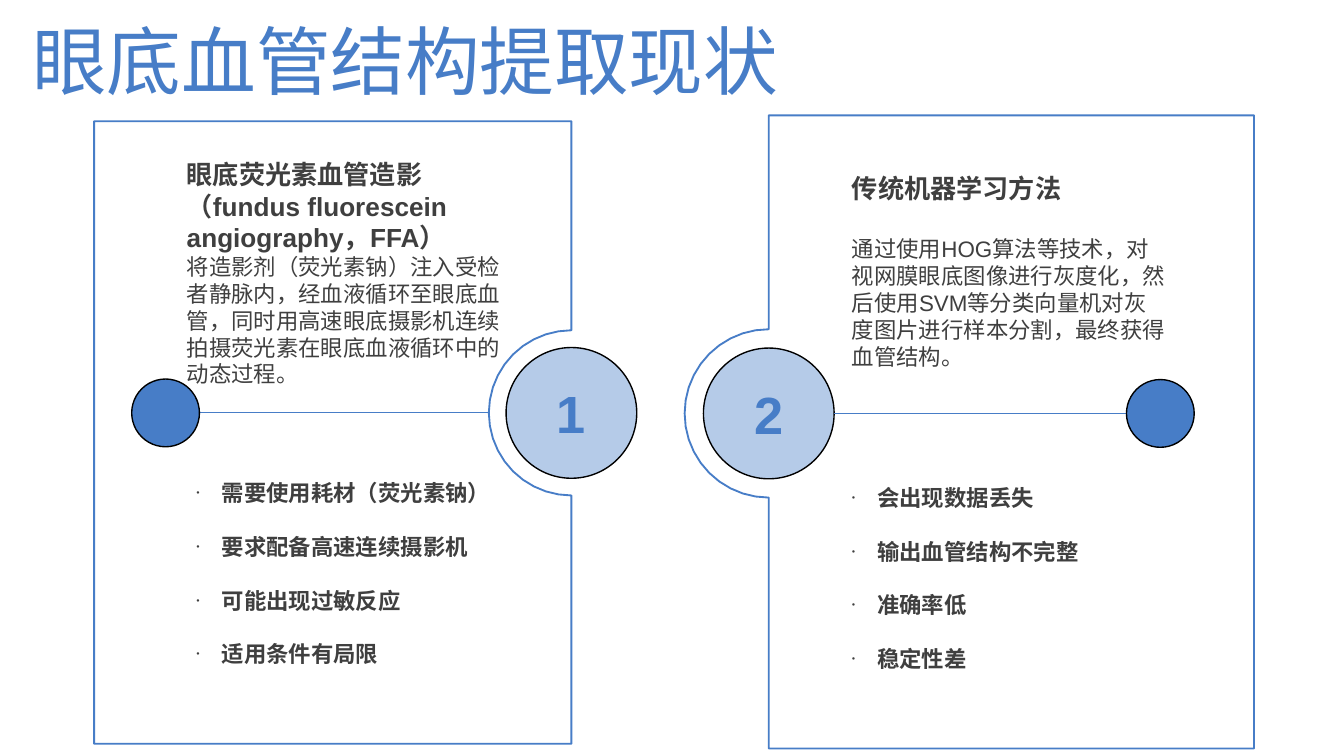
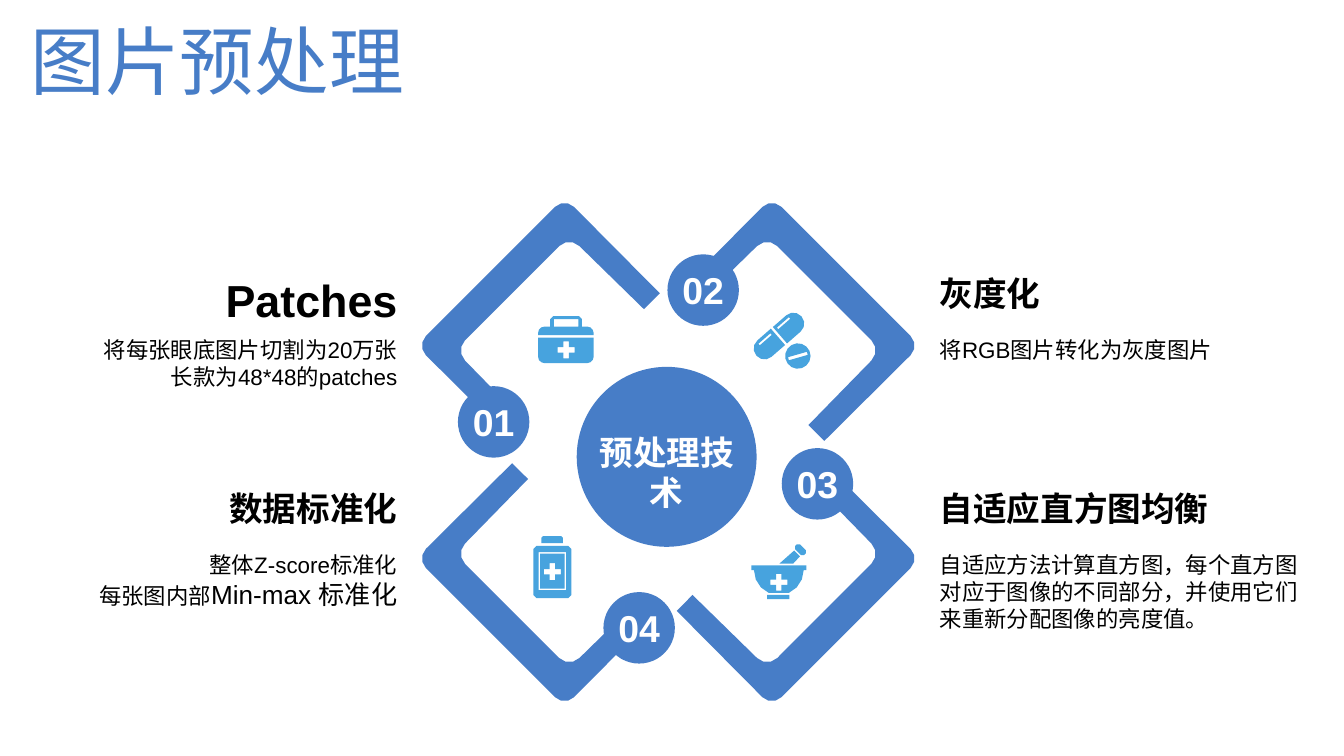
from dataclasses import dataclass
from math import cos, radians, sin

from lxml.etree import SubElement
from pptx import Presentation
from pptx.dml.color import RGBColor
from pptx.enum.shapes import MSO_CONNECTOR, MSO_SHAPE
from pptx.enum.text import MSO_ANCHOR, PP_ALIGN
from pptx.oxml.ns import qn
from pptx.util import Cm, Pt

BLUE = RGBColor(0x47, 0x7D, 0xC7)
SKY = RGBColor(0x47, 0xA3, 0xDE)
GREY = RGBColor(0x3F, 0x3F, 0x3F)
BLACK = RGBColor(0, 0, 0)
WHITE = RGBColor(0xFF, 0xFF, 0xFF)
FONT = "Arial"
SQUARE = (0, 0, 0, 0)


@dataclass
class Line:
    runs: tuple
    bold: bool = False
    color: RGBColor = GREY
    align: PP_ALIGN = PP_ALIGN.LEFT
    before: float = 0
    bullet: bool = False


def set_all(target, formats):
    for name, value in formats.items():
        setattr(target, name, value)


def write(frame, lines, inset_x=0.25, inset_y=0.13, **formats):
    set_all(frame, {
        "word_wrap": True,
        "margin_left": Cm(inset_x), "margin_right": Cm(inset_x),
        "margin_top": Cm(inset_y), "margin_bottom": Cm(inset_y),
        **formats,
    })
    for index, line in enumerate(lines):
        paragraph = frame.add_paragraph() if index else frame.paragraphs[0]
        set_all(paragraph, {"alignment": line.align,
                            "space_before": Pt(line.before)})
        if line.bullet:
            add_bullet(paragraph)
        for text, size in line.runs:
            run = paragraph.add_run()
            run.text = text
            set_all(run.font, {"name": FONT, "size": Pt(size), "bold": line.bold})
            run.font.color.rgb = line.color


def add_bullet(paragraph):
    properties = paragraph._p.get_or_add_pPr()
    properties.set("marL", str(Cm(0.48)))
    properties.set("indent", str(-Cm(0.48)))
    SubElement(properties, qn("a:buSzPct"), val="25000")
    SubElement(properties, qn("a:buFont"), typeface=FONT)
    SubElement(properties, qn("a:buChar"), char="●")


def text_box(slide, left, top, width, height, lines):
    box = slide.shapes.add_textbox(Cm(left), Cm(top), Cm(width), Cm(height))
    write(box.text_frame, lines)


def paint(shape, fill=None, line=None, line_width=1.0, opacity=100):
    shape.shadow.inherit = False
    if fill is None:
        shape.fill.background()
    else:
        shape.fill.solid()
        shape.fill.fore_color.rgb = fill
        if opacity < 100:
            color = shape.element.spPr.find(qn("a:solidFill"))[0]
            SubElement(color, qn("a:alpha"), val=str(opacity * 1000))
    if line is None:
        shape.line.fill.background()
    else:
        shape.line.color.rgb = line
        shape.line.width = Pt(line_width)


def disc(slide, center_x, center_y, size, lines=(), **colors):
    shape = slide.shapes.add_shape(
        MSO_SHAPE.OVAL, Cm(center_x - size / 2), Cm(center_y - size / 2),
        Cm(size), Cm(size))
    paint(shape, **colors)
    if lines:
        write(shape.text_frame, lines, 0, 0, vertical_anchor=MSO_ANCHOR.MIDDLE)


def outline(slide, left, top, contours, **colors):
    placed = [[(Cm(left + x / 10), Cm(top + y / 10)) for x, y in contour]
              for contour in contours]
    builder = slide.shapes.build_freeform(*placed[0][0])
    for index, points in enumerate(placed):
        if index:
            builder.move_to(*points[0])
        builder.add_line_segments(points[1:], close=True)
    paint(builder.convert_to_shape(), **colors)


def arc(center_x, center_y, radius, start, end, step=30):
    steps = max(1, abs(end - start) // step)
    angles = [radians(start + (end - start) * i / steps) for i in range(steps + 1)]
    return [(center_x + radius * cos(a), center_y + radius * sin(a)) for a in angles]


def block(left, top, width, height, radii=SQUARE, tilt=0):
    middle_x, middle_y = left + width / 2, top + height / 2
    corners = [(-1, -1, 180), (1, -1, 270), (1, 1, 0), (-1, 1, 90)]
    points = []
    for (side_x, side_y, start), radius in zip(corners, radii):
        x = side_x * (width / 2 - radius)
        y = side_y * (height / 2 - radius)
        step = 30 if radius > 1 else 90
        points += arc(x, y, radius, start, start + 90, step) if radius else [(x, y)]
    c, s = cos(radians(tilt)), sin(radians(tilt))
    return [(middle_x + x * c - y * s, middle_y + x * s + y * c) for x, y in points]


def tilted(center_x, center_y, width, height, radii, tilt):
    return block(center_x - width / 2, center_y - height / 2,
                 width, height, radii, tilt)


def cross(center_x, center_y, reach=1.6, half=0.5):
    quarter = [(half, -reach), (half, -half), (reach, -half)]
    points = []
    for _ in range(4):
        points += quarter
        quarter = [(-y, x) for x, y in quarter]
    return [(center_x + x, center_y + y) for x, y in points]


def kit():
    return [
        block(0, 4.1, 10.5, 4.8, (0, 0, 1.2, 1.2)),
        cross(5.3, 6.4),
        block(0, 2, 10.5, 1.6, (1.2, 1.2, 0, 0)),
        block(2.3, 0, 6, 2, (0.6, 0.6, 0, 0)),
        block(3, 0.6, 4.6, 1.4),
    ]


def pills():
    return [
        tilted(2.3, 5.9, 5.4, 4.1, (2, 0, 0, 2), -41),
        tilted(1.9, 4.6, 3, 0.4, SQUARE, -41),
        tilted(6.75, 2.05, 5.4, 4.1, (0, 2, 2, 0), -41),
        tilted(5.4, 1.55, 3, 0.4, SQUARE, -41),
        arc(8.1, 7.75, 2.4, 0, 360, 24),
        tilted(8.1, 7.75, 3.7, 0.6, SQUARE, -16),
    ]


def mortar():
    return [
        block(3, 9.5, 4.2, 0.8),
        arc(5.2, 4.8, 4.7, 0, 66, 22) + arc(5.2, 4.8, 4.7, 114, 180, 22),
        cross(5.2, 7.1),
        block(0, 3.9, 10.4, 0.9),
        [(8.1, 1.1), (9.2, 2.2), (7.9, 3.6), (5.3, 3.6)],
        tilted(9.3, 0.95, 2.4, 1.3, (0.4,) * 4, 45),
    ]


def bottle():
    return [
        block(1.5, 0, 4.1, 1.3, (0.3, 0.3, 0, 0)),
        block(0, 1.8, 7.2, 9.9, (0.6,) * 4),
        block(1, 3, 5.2, 7.2),
        block(1.3, 3.3, 4.6, 6.6),
        cross(3.6, 6.7),
    ]


def titled_slide(deck, text, left, top, width, height):
    slide = deck.slides.add_slide(deck.slide_layouts[5])
    title = slide.shapes.title
    set_all(title, {"left": Cm(left), "top": Cm(top),
                    "width": Cm(width), "height": Cm(height)})
    write(title.text_frame, [Line(((text, 40),), color=BLUE)],
          0.25, 0.25, vertical_anchor=MSO_ANCHOR.MIDDLE)
    return slide


def method_panel(slide, box, number, notch_right, notch, dot_x,
                 intro_at, intro, drawbacks_at, drawbacks):
    left, top, width, height = box
    notch_y, radius = notch
    w, h, y, r = (value * 10 for value in (width, height, notch_y, radius))
    if notch_right:
        frame = [(0, 0), (w, 0)] + arc(w, y, r, 270, 90, 9) + [(w, h), (0, h)]
    else:
        frame = [(0, 0), (w, 0), (w, h), (0, h)] + arc(0, y, r, 90, 270, 9)
    outline(slide, left, top, [frame], line=BLUE)

    number_size, dot_size = 2.47, 1.28
    edge_x = left + (width if notch_right else 0)
    center_y = top + notch_y
    disc(slide, edge_x, center_y, number_size,
         [Line(((number, 28),), True, BLUE, PP_ALIGN.CENTER)],
         fill=BLUE, line=BLACK, line_width=0.75, opacity=40)

    if notch_right:
        ends = left + dot_x + dot_size / 2, edge_x - radius
    else:
        ends = edge_x + number_size / 2, left + dot_x - dot_size / 2
    link = slide.shapes.add_connector(
        MSO_CONNECTOR.STRAIGHT, Cm(ends[0]), Cm(center_y), Cm(ends[1]), Cm(center_y))
    link.line.color.rgb = BLUE
    link.line.width = Pt(0.5)
    SubElement(link._element.spPr, qn("a:effectLst"))
    disc(slide, left + dot_x, center_y, dot_size,
         fill=BLUE, line=BLACK, line_width=0.75)

    text_box(slide, left + intro_at[0], top + intro_at[1], 6.43, 2.31, intro)
    text_box(slide, left + drawbacks_at[0], top + drawbacks_at[1], 6.43, 2.31,
             [Line(((text, 12),), True, before=14.4 if index else 0, bullet=True)
              for index, text in enumerate(drawbacks)])


def status_slide(deck):
    slide = titled_slide(deck, "眼底血管结构提取现状", 0.36, 0, 15.54, 2.24)
    method_panel(
        slide, (1.78, 2.29, 9.02, 11.76), "1", True, (5.51, 1.56), 1.35,
        (1.5, 0.58),
        [Line((("眼底荧光素血管造影（fundus fluorescein angiography，FFA）", 14),), True),
         Line((("将造影剂（荧光素钠）注入受检者静脉内，经血液循环至眼底血管，"
                "同时用高速眼底摄影机连续拍摄荧光素在眼底血液循环中的动态过程。", 12),))],
        (1.68, 6.63),
        ["需要使用耗材（荧光素钠）", "要求配备高速连续摄影机",
         "可能出现过敏反应", "适用条件有局限"])
    method_panel(
        slide, (14.53, 2.18, 9.17, 11.96), "2", False, (5.63, 1.59), 7.4,
        (1.32, 0.94),
        [Line((("传统机器学习方法", 14),), True),
         Line((("通过使用HOG算法等技术，对视网膜眼底图像进行灰度化，"
                "然后使用SVM等分类向量机对灰度图片进行样本分割，"
                "最终获得血管结构。", 12),), before=17)],
        (1.32, 6.83),
        ["会出现数据丢失", "输出血管结构不完整", "准确率低", "稳定性差"])


def wheel(slide, left, top, width, height):
    half = (arc(27.2, 2.8, 2.55, 225, 315) + [(45.2, 17.3), (42.2, 20.3)]
            + arc(28.1, 10.3, 2.7, 315, 225))
    bracket = half + [(y, x) for x, y in reversed(half)]
    for flip_y in (False, True):
        for flip_x in (False, True):
            outline(slide, left, top,
                    [[(width * 10 - x if flip_x else x,
                       height * 10 - y if flip_y else y) for x, y in bracket]],
                    fill=BLUE)

    badges = [(1.38, 4.16), (5.34, 1.67), (7.5, 5.33), (4.13, 8.05)]
    for index, (x, y) in enumerate(badges, 1):
        disc(slide, left + x, top + y, 1.35,
             [Line(((f"{index:02}", 20),), True, WHITE, PP_ALIGN.CENTER)], fill=BLUE)

    disc(slide, left + 4.65, top + 4.82, 3.4, fill=BLUE)
    text_box(slide, left + 2.9, top + 4.22, 3.5, 0.86,
             [Line((("预处理技术", 18),), True, WHITE, PP_ALIGN.CENTER)])

    icons = [(kit, 2.22, 2.16), (mortar, 6.25, 6.48),
             (pills, 6.32, 2.14), (bottle, 2.13, 6.32)]
    for icon, x, y in icons:
        outline(slide, left + x, top + y, icon(), fill=SKY)


def caption(slide, left, top, align, heading, size, body):
    text_box(slide, left, top, 7.39, 0.76,
             [Line(((heading, size),), True, BLACK, align)])
    text_box(slide, left, top + 1.2, 7.39, 1.8,
             [Line(runs, color=BLACK, align=align) for runs in body])


def preprocessing_slide(deck):
    slide = titled_slide(deck, "图片预处理", 0.33, 0.3, 11.35, 1.65)
    wheel(slide, 7.95, 3.81, 9.36, 9.46)
    left_x, right_x, upper_y, lower_y = 0.37, 17.51, 5.02, 9.09
    caption(slide, right_x, upper_y, PP_ALIGN.LEFT, "灰度化", 18,
            [(("将RGB图片转化为灰度图片", 12),)])
    caption(slide, right_x, lower_y, PP_ALIGN.LEFT, "自适应直方图均衡", 18,
            [(("自适应方法计算直方图，每个直方图对应于图像的不同部分，"
               "并使用它们来重新分配图像的亮度值。", 12),)])
    caption(slide, left_x, upper_y, PP_ALIGN.RIGHT, "Patches", 24,
            [(("将每张眼底图片切割为20万张", 12),),
             (("长款为48*48的patches", 12),)])
    caption(slide, left_x, lower_y, PP_ALIGN.RIGHT, "数据标准化", 18,
            [(("整体Z-score标准化", 12),),
             (("每张图内部", 12), ("Min-max 标准化", 14))])


def main():
    deck = Presentation()
    set_all(deck, {"slide_width": Cm(25.4), "slide_height": Cm(14.28)})
    status_slide(deck)
    preprocessing_slide(deck)
    deck.save("out.pptx")


if __name__ == "__main__":
    main()
